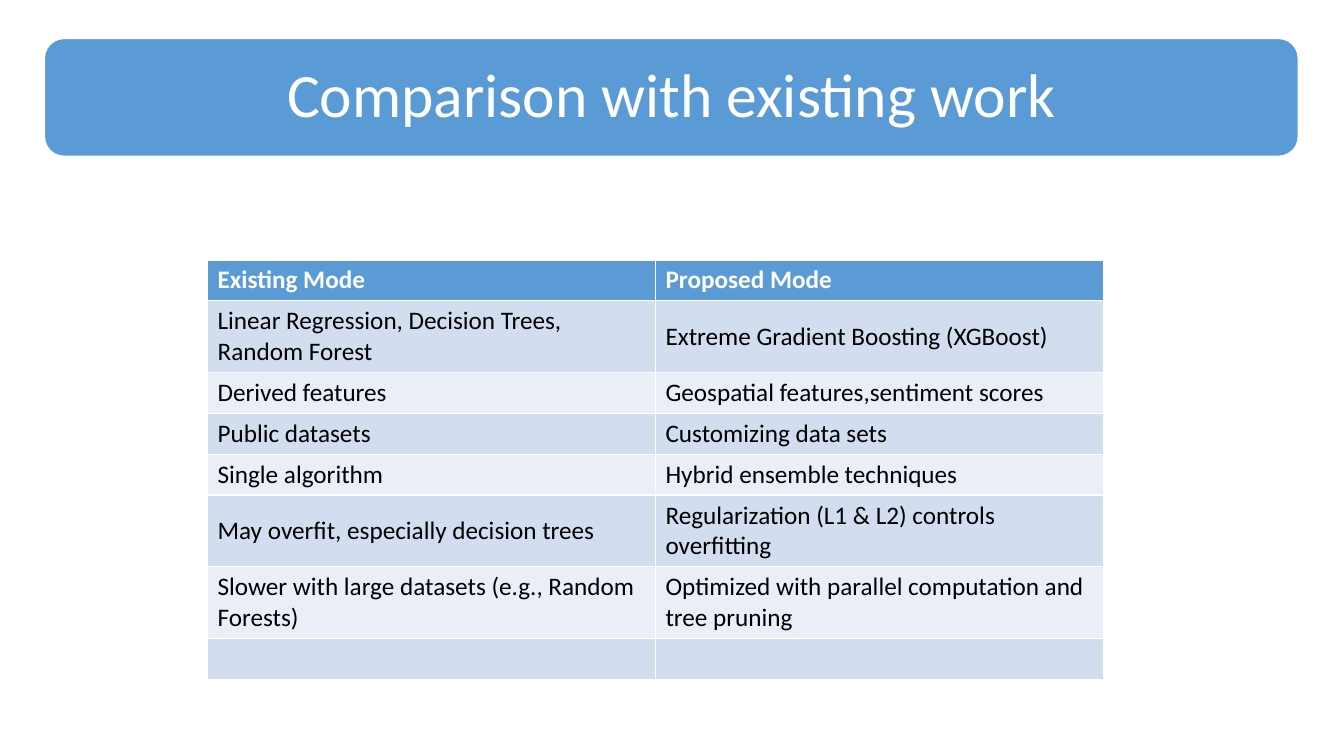
from pptx import Presentation
from pptx.dml.color import RGBColor
from pptx.enum.shapes import MSO_SHAPE
from pptx.enum.text import MSO_ANCHOR, MSO_AUTO_SIZE, PP_ALIGN
from pptx.util import Cm, Pt

FONT = "Calibri"
BLUE = RGBColor(0x5B, 0x9B, 0xD5)
DARK_BAND = RGBColor(0xD2, 0xDE, 0xEF)
LIGHT_BAND = RGBColor(0xEA, 0xEF, 0xF7)
WHITE = RGBColor(0xFF, 0xFF, 0xFF)
BLACK = RGBColor(0x00, 0x00, 0x00)

COMPARISON = [
    ("Existing Mode", "Proposed Mode"),
    ("Linear Regression, Decision Trees, Random Forest", "Extreme Gradient Boosting (XGBoost)"),
    ("Derived features", "Geospatial features,sentiment scores"),
    ("Public datasets", "Customizing data sets"),
    ("Single algorithm", "Hybrid ensemble techniques"),
    ("May overfit, especially decision trees", "Regularization (L1 & L2) controls overfitting"),
    ("Slower with large datasets (e.g., Random Forests)",
     "Optimized with parallel computation and tree pruning"),
    ("", ""),
]


def set_font(paragraph, size, color, bold=False):
    font = paragraph.font
    font.name = FONT
    font.size = Pt(size)
    font.bold = bold
    font.color.rgb = color


def add_banner(page):
    banner = page.shapes.add_shape(
        MSO_SHAPE.ROUNDED_RECTANGLE, Cm(1.12), Cm(0.97), Cm(31.6), Cm(2.97))
    banner.shadow.inherit = False
    banner.fill.solid()
    banner.fill.fore_color.rgb = BLUE
    banner.line.color.rgb = WHITE
    banner.line.width = Pt(1)


def place_title(page, text):
    title = page.shapes.title
    title.left, title.top, title.width, title.height = Cm(1.27), Cm(1.12), Cm(31.32), Cm(2.69)
    title.element.getparent().append(title.element)
    frame = title.text_frame
    frame.text = text
    frame.word_wrap = True
    frame.auto_size = MSO_AUTO_SIZE.NONE
    frame.vertical_anchor = MSO_ANCHOR.MIDDLE
    frame.margin_left = frame.margin_right = Cm(0.46)
    frame.margin_top = frame.margin_bottom = Cm(0.46)
    paragraph = frame.paragraphs[0]
    paragraph.alignment = PP_ALIGN.CENTER
    paragraph.line_spacing = 0.9
    set_font(paragraph, 44, WHITE)


def fill_cell(cell, text, row_index):
    is_header = row_index == 0
    cell.text = text
    cell.fill.solid()
    if is_header:
        cell.fill.fore_color.rgb = BLUE
    else:
        cell.fill.fore_color.rgb = DARK_BAND if row_index % 2 else LIGHT_BAND
        cell.vertical_anchor = MSO_ANCHOR.MIDDLE
    set_font(cell.text_frame.paragraphs[0], 18, WHITE if is_header else BLACK, is_header)


def add_comparison_table(page, rows):
    row_height = Cm(1.03)
    table = page.shapes.add_table(
        len(rows), len(rows[0]), Cm(5.23), Cm(6.55), Cm(22.58), row_height * len(rows)).table
    for row_index, texts in enumerate(rows):
        table.rows[row_index].height = row_height
        for column_index, text in enumerate(texts):
            fill_cell(table.cell(row_index, column_index), text, row_index)


def main():
    deck = Presentation()
    deck.slide_width, deck.slide_height = Cm(33.87), Cm(19.05)
    page = deck.slides.add_slide(deck.slide_layouts[5])
    add_banner(page)
    place_title(page, "Comparison with existing work")
    add_comparison_table(page, COMPARISON)
    deck.save("out.pptx")


if __name__ == "__main__":
    main()
